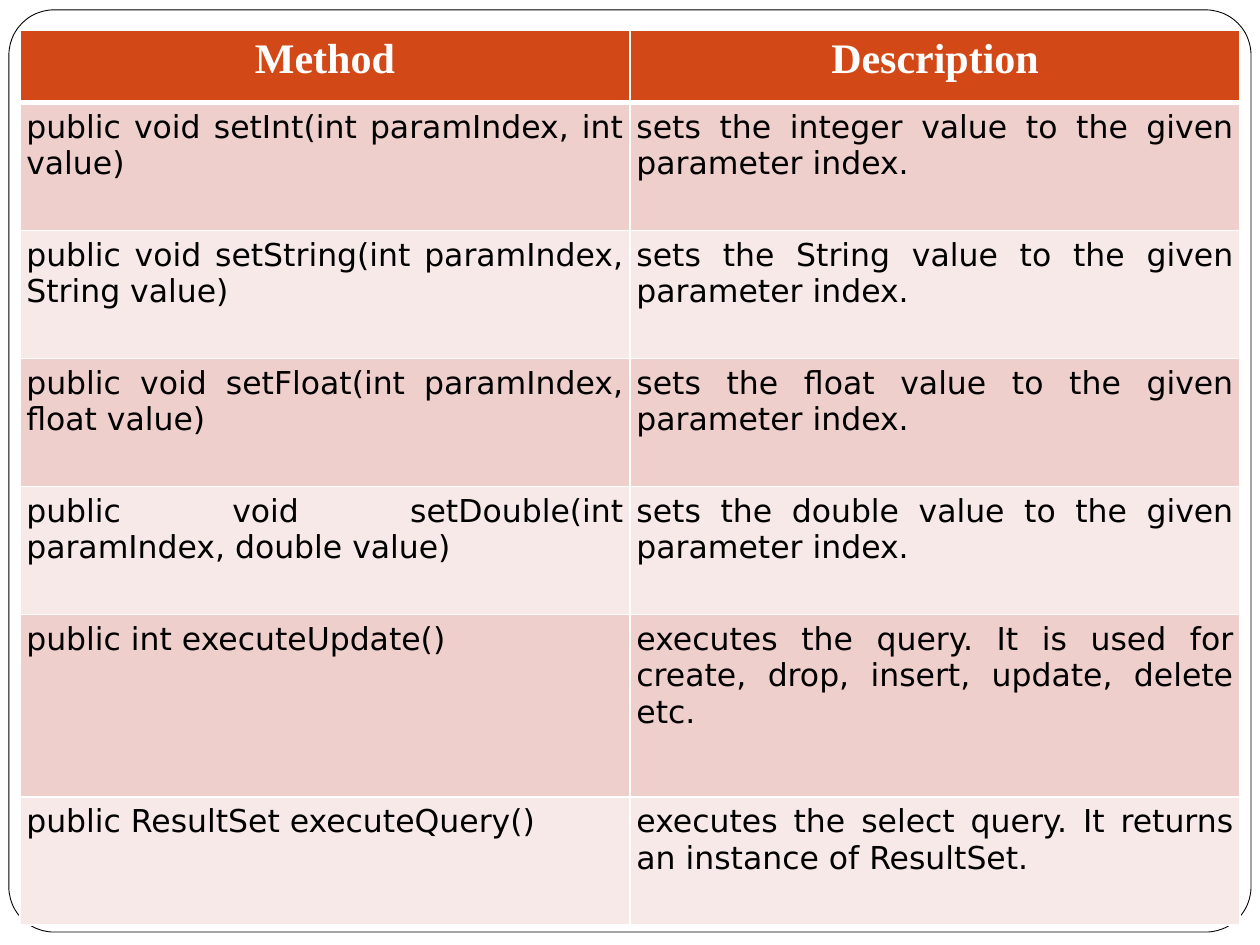
from dataclasses import dataclass

from lxml.etree import SubElement
from pptx import Presentation
from pptx.dml.color import RGBColor
from pptx.enum.shapes import MSO_SHAPE
from pptx.enum.text import PP_ALIGN
from pptx.oxml.ns import qn
from pptx.util import Cm, Pt


@dataclass(frozen=True)
class Theme:
    white: str = "FFFFFF"
    black: str = "000000"
    header: str = "D34817"
    bands: tuple = ("EFCFCC", "F7E9E8")
    header_font: str = "Times New Roman"
    body_font: str = "DejaVu Sans"
    header_size: int = 24
    body_size: int = 18


THEME = Theme()

ROWS = [
    ("Method", "Description"),
    ("public void setInt(int paramIndex, int value)",
     "sets the integer value to the given parameter index."),
    ("public void setString(int paramIndex, String value)",
     "sets the String value to the given parameter index."),
    ("public void setFloat(int paramIndex, float value)",
     "sets the float value to the given parameter index."),
    ("public void setDouble(int paramIndex, double value)",
     "sets the double value to the given parameter index."),
    ("public int executeUpdate()",
     "executes the query. It is used for create, drop, insert, update, delete etc."),
    ("public ResultSet executeQuery()",
     "executes the select query. It returns an instance of ResultSet."),
]
ROW_HEIGHTS = [1.47, 2.58, 2.58, 2.58, 2.58, 3.68, 2.58]
COLUMN_WIDTH = 12.3


def color(value):
    return RGBColor.from_string(value)


def add_frame(page):
    """Rounded outline around the page."""
    frame = page.shapes.add_shape(
        MSO_SHAPE.ROUNDED_RECTANGLE, Cm(0.18), Cm(0.2), Cm(25.04), Cm(18.59))
    frame.adjustments[0] = 0.049
    frame.shadow.inherit = False
    frame.fill.solid()
    frame.fill.fore_color.rgb = color(THEME.white)
    frame.line.color.rgb = color(THEME.black)
    frame.line.width = Pt(0.5)


def set_borders(cell, bottom, top):
    """White cell borders, with widths in points."""
    properties = cell._tc.get_or_add_tcPr()
    sides = {"L": 1, "R": 1, "T": top, "B": bottom}
    for position, (side, width) in enumerate(sides.items()):
        line = SubElement(properties, qn(f"a:ln{side}"), w=str(Pt(width)))
        fill = SubElement(line, qn("a:solidFill"))
        SubElement(fill, qn("a:srgbClr"), val=THEME.white)
        properties.insert(position, line)


def fill_cell(cell, text, row_index):
    is_header = row_index == 0
    cell.margin_left = cell.margin_right = Cm(0.13)
    cell.margin_top = cell.margin_bottom = Cm(0.13)
    cell.fill.solid()
    cell.fill.fore_color.rgb = color(
        THEME.header if is_header else THEME.bands[(row_index - 1) % 2])
    set_borders(cell, bottom=3 if is_header else 1, top=3 if row_index == 1 else 1)

    cell.text_frame.text = text
    para = cell.text_frame.paragraphs[0]
    para.alignment = PP_ALIGN.CENTER if is_header else PP_ALIGN.JUSTIFY
    font = para.runs[0].font
    font.name = THEME.header_font if is_header else THEME.body_font
    font.size = Pt(THEME.header_size if is_header else THEME.body_size)
    font.bold = is_header
    font.color.rgb = color(THEME.white if is_header else THEME.black)


def add_method_table(page):
    column_count = len(ROWS[0])
    table = page.shapes.add_table(
        len(ROWS), column_count, Cm(0.4), Cm(0.6),
        Cm(COLUMN_WIDTH * column_count), Cm(sum(ROW_HEIGHTS))).table
    for column in table.columns:
        column.width = Cm(COLUMN_WIDTH)
    for row_index, (texts, height) in enumerate(zip(ROWS, ROW_HEIGHTS)):
        table.rows[row_index].height = Cm(height)
        for column_index, text in enumerate(texts):
            fill_cell(table.cell(row_index, column_index), text, row_index)


def main():
    deck = Presentation()
    deck.slide_width, deck.slide_height = Cm(25.4), Cm(19.05)
    page = deck.slides.add_slide(deck.slide_layouts[6])
    add_frame(page)
    add_method_table(page)
    deck.save("out.pptx")


main()
